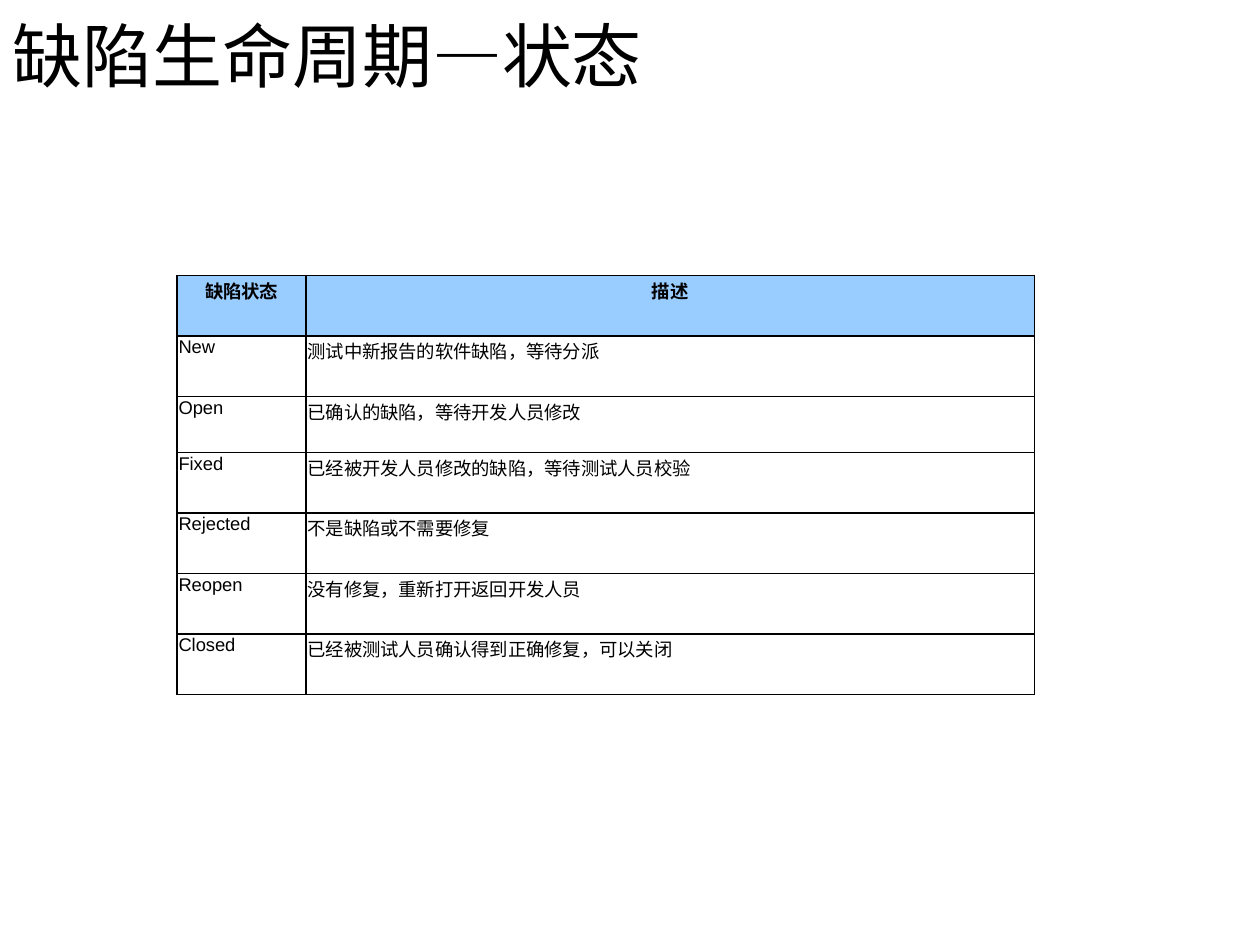
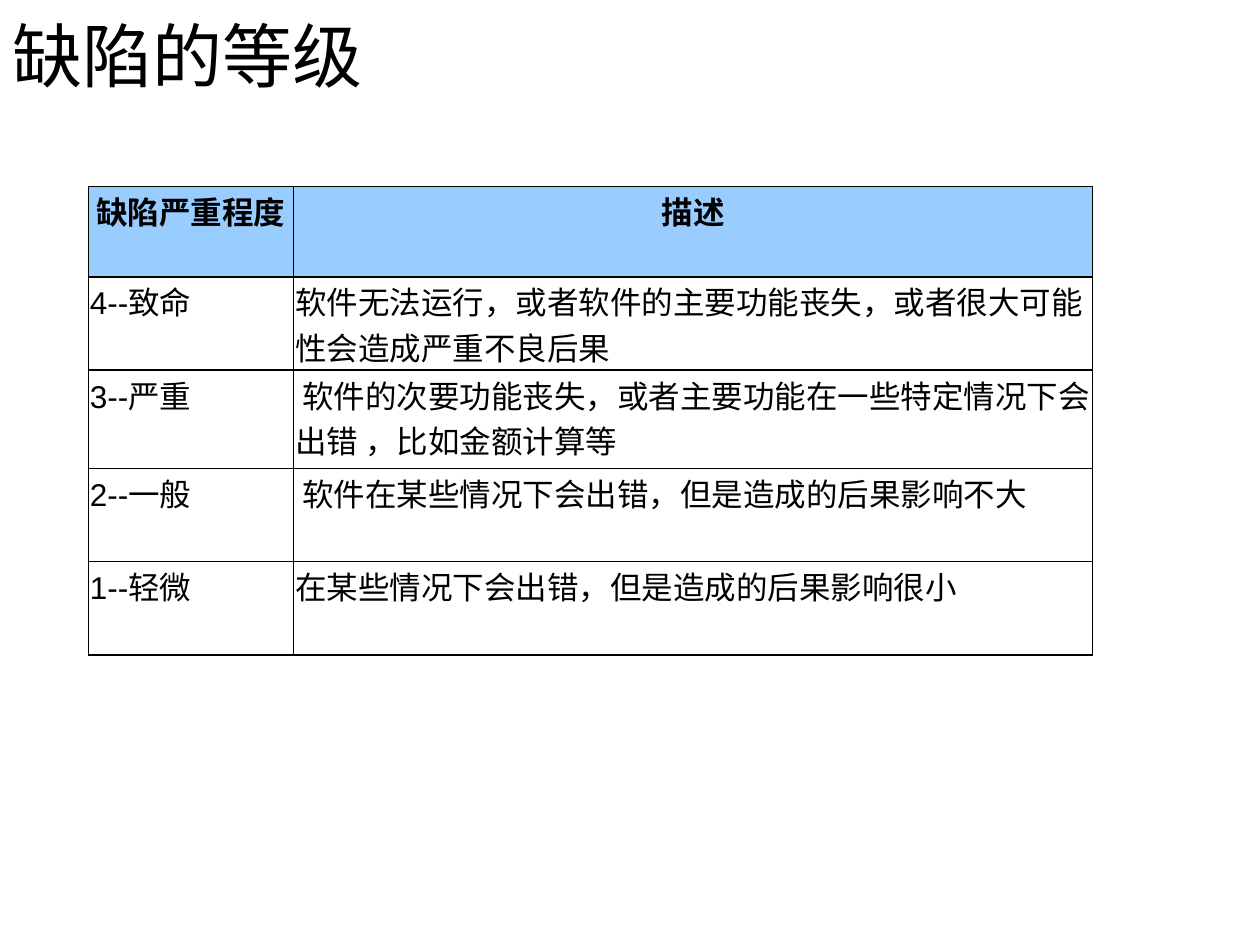
from lxml.etree import SubElement
from pptx import Presentation
from pptx.dml.color import RGBColor
from pptx.enum.text import MSO_ANCHOR, MSO_AUTO_SIZE, PP_ALIGN
from pptx.oxml.ns import qn
from pptx.util import Cm, Pt

COLORS = {"text": "000000", "border": "000000", "header": "99CCFF"}
TITLE_FONT, LATIN_FONT, CHINESE_FONT = "Calibri", "Arial", "Noto Sans CJK SC"
TITLE_ONLY_LAYOUT = 5

# Content: a cell is a tuple of runs; lengths are in centimetres
SLIDES = [
    {
        "title": "缺陷生命周期—状态",
        "position": (3.57, 5.55),
        "columns": (2.6, 14.68),
        "row_heights": (1.22, 1.22, 1.13, 1.22, 1.22, 1.22, 1.22),
        "size": 10.5,
        "rows": [
            (("缺陷状态",), ("描述",)),
            (("New",), ("测试中新报告的软件缺陷，等待分派",)),
            (("Open",), ("已确认的缺陷，等待开发人员修改",)),
            (("Fixed",), ("已经被开发人员修改的缺陷，等待测试人员校验",)),
            (("Rejected",), ("不是缺陷或不需要修复",)),
            (("Reopen",), ("没有修复，重新打开返回开发人员",)),
            (("Closed",), ("已经被测试人员确认得到正确修复，可以关闭",)),
        ],
    },
    {
        "title": "缺陷的等级",
        "position": (1.78, 3.76),
        "columns": (4.14, 16.1),
        "row_heights": (1.82, 1.88, 1.98, 1.88, 1.88),
        "size": 18,
        "rows": [
            (("缺陷严重程度",), ("描述",)),
            (("4--", "致命"),
             ("软件无法运行，或者软件的主要功能丧失，或者很大可能性会造成严重不良后果",)),
            (("3--", "严重"),
             (" ", "软件的次要功能丧失，或者主要功能在一些特定情况下会出错 ，比如金额计算等")),
            (("2--", "一般"),
             (" ", "软件在某些情况下会出错，但是造成的后果影响不大")),
            (("1--", "轻微"), ("在某些情况下会出错，但是造成的后果影响很小",)),
        ],
    },
]


def color(name):
    return RGBColor.from_string(COLORS[name])


def add_run(paragraph, text, latin_font):
    run = paragraph.add_run()
    run.text = text
    run.font.name = latin_font
    SubElement(run.font._element, qn("a:ea"), typeface=CHINESE_FONT)


def fill_title(title, text):
    title.left, title.top, title.width, title.height = Cm(0), Cm(0.18), Cm(22.86), Cm(1.83)
    frame = title.text_frame
    frame.auto_size = MSO_AUTO_SIZE.NONE
    frame.vertical_anchor = MSO_ANCHOR.MIDDLE
    paragraph = frame.paragraphs[0]
    paragraph.alignment = PP_ALIGN.LEFT
    paragraph.font.size = Pt(40)
    paragraph.font.color.rgb = color("text")
    add_run(paragraph, text, TITLE_FONT)


def set_borders(cell):
    properties = cell._tc.get_or_add_tcPr()
    # Borders come before the fill in the cell properties
    for index, side in enumerate(("a:lnL", "a:lnR", "a:lnT", "a:lnB")):
        line = SubElement(properties, qn(side), w=str(Pt(1)))
        properties.insert(index, line)
        fill = SubElement(line, qn("a:solidFill"))
        SubElement(fill, qn("a:srgbClr"), val=COLORS["border"])


def fill_cell(cell, runs, size, is_header):
    cell.margin_left = cell.margin_right = cell.margin_top = Cm(0.03)
    cell.margin_bottom = Cm(0)
    if is_header:
        cell.fill.solid()
        cell.fill.fore_color.rgb = color("header")
    else:
        cell.fill.background()
    set_borders(cell)
    paragraph = cell.text_frame.paragraphs[0]
    paragraph.alignment = PP_ALIGN.CENTER if is_header else PP_ALIGN.LEFT
    paragraph.font.size = Pt(size)
    paragraph.font.bold = is_header
    paragraph.font.color.rgb = color("text")
    for text in runs:
        add_run(paragraph, text, LATIN_FONT if text.isascii() else CHINESE_FONT)


def add_status_table(slide, content):
    rows, columns, heights = content["rows"], content["columns"], content["row_heights"]
    left, top = content["position"]
    table = slide.shapes.add_table(
        len(rows), len(columns), Cm(left), Cm(top), Cm(sum(columns)), Cm(sum(heights))
    ).table
    table.first_row = table.horz_banding = False
    for column, width in zip(table.columns, columns):
        column.width = Cm(width)
    for index, (row, height, cells) in enumerate(zip(table.rows, heights, rows)):
        row.height = Cm(height)
        for cell, runs in zip(row.cells, cells):
            fill_cell(cell, runs, content["size"], index == 0)


# Build the slides
presentation = Presentation()
presentation.slide_width, presentation.slide_height = Cm(25.4), Cm(19.05)
for content in SLIDES:
    slide = presentation.slides.add_slide(presentation.slide_layouts[TITLE_ONLY_LAYOUT])
    fill_title(slide.shapes.title, content["title"])
    add_status_table(slide, content)
presentation.save("out.pptx")
